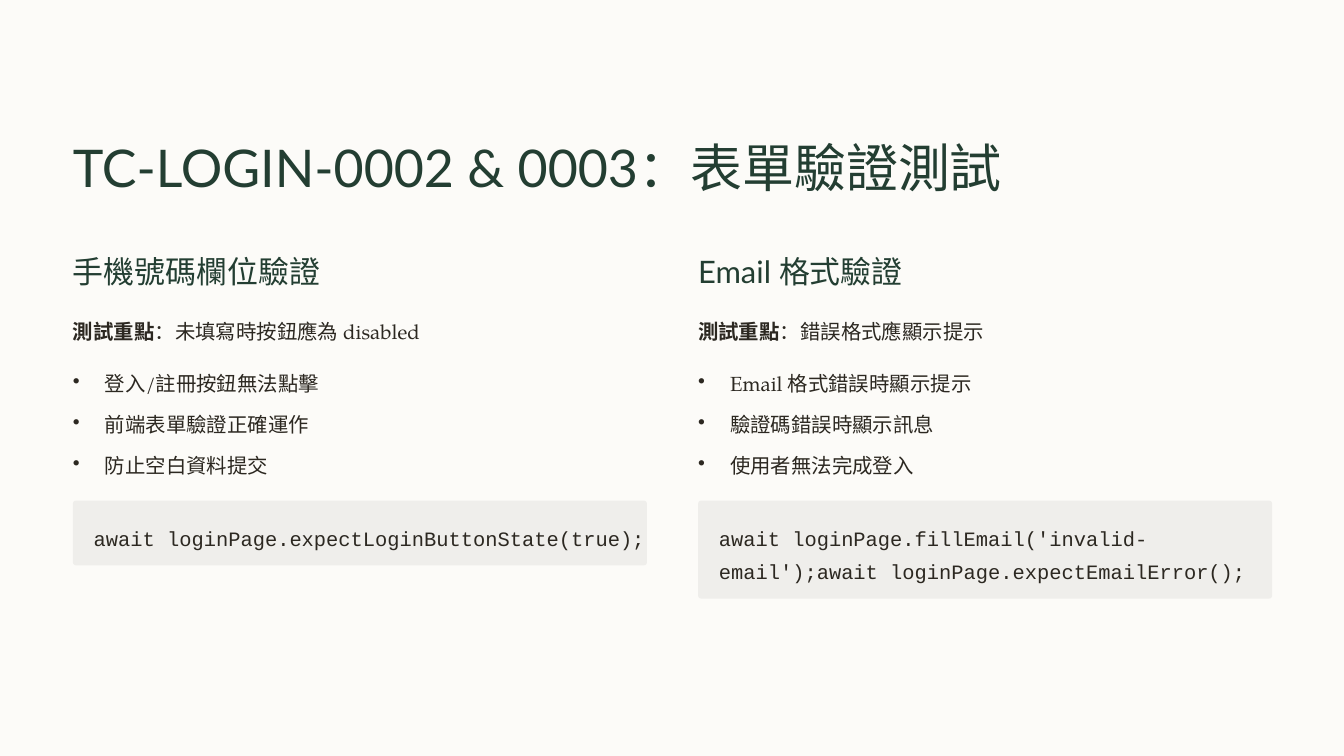
from lxml import etree
from pptx import Presentation
from pptx.dml.color import RGBColor
from pptx.enum.shapes import MSO_SHAPE
from pptx.enum.text import MSO_ANCHOR, PP_ALIGN
from pptx.oxml.ns import qn
from pptx.util import Pt

COLORS = {"paper": "FCFBF8", "heading": "233E32", "body": "2C2821", "code": "EFEEEB"}
HEADING_FONT, BODY_FONT, CODE_FONT = "Lato", "TeX Gyre Pagella", "Courier New"
BODY_SIZE, BODY_LEADING = 17.5, 28.5
LEFT, COLUMN_PITCH, COLUMN_WIDTH = 62.5, 535.9, 492
TITLE_TOP, COLUMN_TOP = 114.5, 215.3
INDENT = 27.4
CODE_PAD_X, CODE_PAD_Y, CODE_RADIUS = 17, 13.5, 2.66

COLUMNS = [
    {
        "heading": "手機號碼欄位驗證",
        "focus": "：未填寫時按鈕應為 disabled",
        "points": ["登入/註冊按鈕無法點擊", "前端表單驗證正確運作", "防止空白資料提交"],
        "code": "await loginPage.expectLoginButtonState(true);",
        "code_lines": 1,
    },
    {
        "heading": "Email 格式驗證",
        "focus": "：錯誤格式應顯示提示",
        "points": ["Email 格式錯誤時顯示提示", "驗證碼錯誤時顯示訊息", "使用者無法完成登入"],
        "code": "await loginPage.fillEmail('invalid-email');await loginPage.expectEmailError();",
        "code_lines": 2,
    },
]


def rgb(name):
    return RGBColor.from_string(COLORS[name])


def style(paragraph, font_name, size, leading, color):
    paragraph.line_spacing = Pt(leading)
    paragraph.font.name = font_name
    paragraph.font.size = Pt(size)
    paragraph.font.color.rgb = rgb(color)


def style_body(paragraph):
    style(paragraph, BODY_FONT, BODY_SIZE, BODY_LEADING, "body")


def add_text_frame(slide, left, top, width, height):
    """Add a text box without margins and return its text frame."""
    frame = slide.shapes.add_textbox(Pt(left), Pt(top), Pt(width), Pt(height)).text_frame
    frame.margin_left = frame.margin_right = frame.margin_top = frame.margin_bottom = 0
    frame.word_wrap = True
    return frame


def add_heading(slide, text, left, top, width, size, leading):
    heading = add_text_frame(slide, left, top, width, leading).paragraphs[0]
    heading.text = text
    style(heading, HEADING_FONT, size, leading, "heading")


def add_focus(slide, text, left, top, width):
    focus = add_text_frame(slide, left, top, width, BODY_LEADING).paragraphs[0]
    label = focus.add_run()
    label.text = "測試重點"
    label.font.bold = True
    focus.add_run().text = text
    style_body(focus)


def add_points(slide, points, left, top, width):
    frame = add_text_frame(slide, left, top, width, 98.5)
    for index, point in enumerate(points):
        item = frame.paragraphs[0] if index == 0 else frame.add_paragraph()
        item.text = point
        properties = item._p.get_or_add_pPr()
        properties.set("marL", str(Pt(INDENT)))
        properties.set("indent", str(-Pt(INDENT)))
        etree.SubElement(properties, qn("a:buChar")).set("char", "•")
        if index:
            item.space_before = Pt(6.5)
        style_body(item)


def add_code(slide, code, lines, left, top, width):
    height = 2 * CODE_PAD_Y + lines * BODY_LEADING
    panel = slide.shapes.add_shape(
        MSO_SHAPE.ROUNDED_RECTANGLE, Pt(left), Pt(top), Pt(width), Pt(height))
    panel.adjustments[0] = CODE_RADIUS / height
    panel.shadow.inherit = False
    panel.fill.solid()
    panel.fill.fore_color.rgb = rgb("code")
    panel.line.fill.background()
    frame = panel.text_frame
    frame.margin_left, frame.margin_right = Pt(CODE_PAD_X), 0
    frame.margin_top = frame.margin_bottom = Pt(CODE_PAD_Y)
    frame.vertical_anchor = MSO_ANCHOR.TOP
    frame.word_wrap = True
    statement = frame.paragraphs[0]
    statement.text = code
    statement.alignment = PP_ALIGN.LEFT
    style(statement, CODE_FONT, BODY_SIZE, BODY_LEADING, "body")


def add_column(slide, column, left, top, width):
    add_heading(slide, column["heading"], left, top, width, 26.5, 33)
    add_focus(slide, column["focus"], left, top + 51, width)
    add_points(slide, column["points"], left, top + 95.7, width)
    add_code(slide, column["code"], column["code_lines"], left, top + 213.8, width)


def main():
    deck = Presentation()
    deck.slide_width, deck.slide_height = Pt(1152), Pt(648)
    slide = deck.slides.add_slide(deck.slide_layouts[6])
    slide.background.fill.solid()
    slide.background.fill.fore_color.rgb = rgb("paper")
    add_heading(slide, "TC-LOGIN-0002 & 0003：表單驗證測試",
                LEFT, TITLE_TOP, COLUMN_PITCH + COLUMN_WIDTH, 44.5, 55.5)
    for index, column in enumerate(COLUMNS):
        add_column(slide, column, LEFT + index * COLUMN_PITCH, COLUMN_TOP, COLUMN_WIDTH)
    deck.save("out.pptx")


if __name__ == "__main__":
    main()
